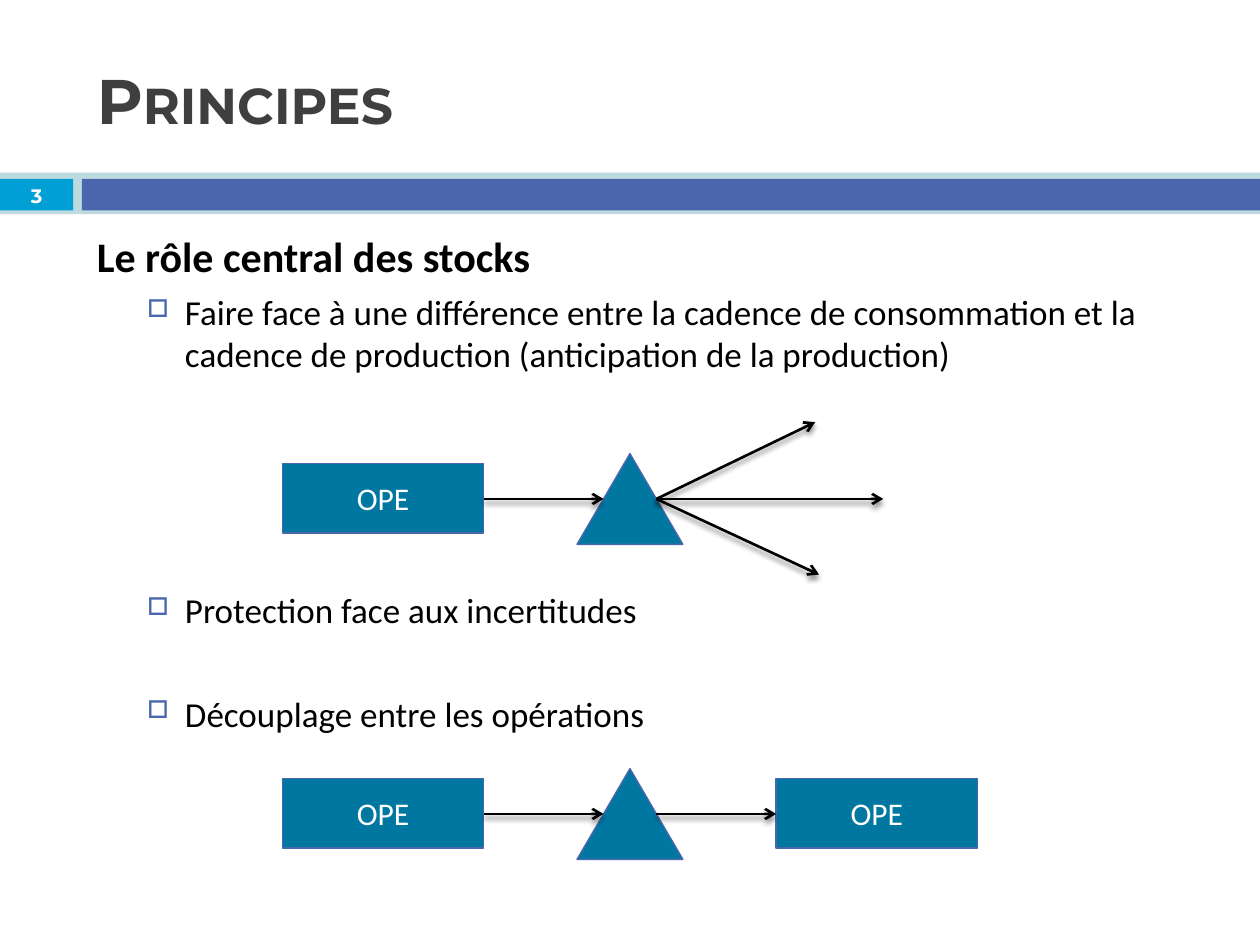
from lxml import etree
from pptx import Presentation
from pptx.dml.color import RGBColor
from pptx.enum.shapes import MSO_CONNECTOR as CONNECTOR, MSO_SHAPE as SHAPE
from pptx.enum.text import MSO_ANCHOR as ANCHOR, PP_ALIGN as ALIGN
from pptx.oxml import parse_xml
from pptx.oxml.ns import nsdecls, qn
from pptx.util import Inches, Pt

COLORS = {"band": "BDDADF", "number": "009FD6", "blue": "4A66AC", "title": "3F3F3F",
          "stock": "0077A0", "black": "000000", "white": "FFFFFF"}
SHADOW = f"""<a:effectLst {nsdecls('a')}>
  <a:outerShdw blurRad="38100" dist="30480" dir="5400000" rotWithShape="0">
    <a:srgbClr val="{COLORS['black']}"><a:alpha val="45000"/></a:srgbClr>
  </a:outerShdw>
</a:effectLst>"""

presentation = Presentation()
presentation.slide_width = Inches(10)
presentation.slide_height = Inches(7.5)
slide = presentation.slides.add_slide(presentation.slide_layouts[6])


def add_block(kind, left, top, width, height, fill, outlined=False):
    shape = slide.shapes.add_shape(
        kind, Inches(left), Inches(top), Inches(width), Inches(height))
    shape.shadow.inherit = False
    shape.fill.solid()
    shape.fill.fore_color.rgb = RGBColor.from_string(COLORS[fill])
    if outlined:
        shape.line.color.rgb = RGBColor.from_string(COLORS["blue"])
        shape.line.width = Pt(0.79)
    else:
        shape.line.fill.background()
    return shape


def add_text(paragraph, text, size, color, name="Calibri", bold=False):
    run = paragraph.add_run()
    run.text = text
    run.font.size = Pt(size)
    run.font.name = name
    run.font.bold = bold
    run.font.color.rgb = RGBColor.from_string(COLORS[color])
    return run


# Header band, slide number and title
add_block(SHAPE.RECTANGLE, 0, 1.37, 10, 0.33, "band")
add_block(SHAPE.RECTANGLE, 0, 1.42, 0.58, 0.25, "number")
add_block(SHAPE.RECTANGLE, 0.65, 1.42, 9.35, 0.25, "blue")

title = slide.shapes.add_textbox(Inches(0.67), Inches(0.25), Inches(8.92), Inches(1.08))
title.text_frame.word_wrap = True
title.text_frame.vertical_anchor = ANCHOR.MIDDLE
title_run = add_text(title.text_frame.paragraphs[0], "Principes", 36, "title",
                     "Montserrat", True)
title_run.font._element.set("cap", "small")

number = slide.shapes.add_textbox(0, Inches(1.42), Inches(0.58), Inches(0.27))
number.text_frame.word_wrap = True
number.text_frame.vertical_anchor = ANCHOR.MIDDLE
number.text_frame.paragraphs[0].alignment = ALIGN.CENTER
add_text(number.text_frame.paragraphs[0], "3", 11.1, "white", "Montserrat", True)

# Body: heading and bullets, spaced to leave room for the diagrams
body = slide.shapes.add_textbox(Inches(0.67), Inches(1.78), Inches(8.9), Inches(5.28))
body.text_frame.word_wrap = True
add_text(body.text_frame.paragraphs[0], "Le rôle central des stocks", 24, "black", bold=True)

bullets = [
    ("Faire face à une différence entre la cadence de consommation et la "
     "cadence de production (anticipation de la production)", 5.5),
    ("Protection face aux incertitudes", 122.5),
    ("Découplage entre les opérations", 35),
]
for text, space_before in bullets:
    paragraph = body.text_frame.add_paragraph()
    properties = paragraph._p.get_or_add_pPr()
    properties.set("marL", str(Inches(0.7)))
    properties.set("indent", str(Inches(-0.3)))
    bullet_color = etree.SubElement(properties, qn("a:buClr"))
    etree.SubElement(bullet_color, qn("a:srgbClr"), val=COLORS["blue"])
    etree.SubElement(properties, qn("a:buSzPct"), val="70000")
    etree.SubElement(properties, qn("a:buChar"), char="□")
    paragraph.space_before = Pt(space_before)
    add_text(paragraph, text, 20, "black")

# Diagrams: operations, stocks and flows around two horizontal axes
UPPER, LOWER = 3.96, 6.46
for left, axis in [(2.24, UPPER), (2.24, LOWER), (6.16, LOWER)]:
    operation = add_block(SHAPE.RECTANGLE, left, axis - 0.28, 1.6, 0.55, "stock", True)
    operation.text_frame.vertical_anchor = ANCHOR.MIDDLE
    operation.text_frame.paragraphs[0].alignment = ALIGN.CENTER
    add_text(operation.text_frame.paragraphs[0], "OPE", 18, "white")

for axis in (UPPER, LOWER):
    add_block(SHAPE.ISOSCELES_TRIANGLE, 4.58, axis - 0.36, 0.84, 0.72, "stock", True)

flows = [
    (3.84, UPPER, 4.79, UPPER),
    (5.21, UPPER, 7.01, UPPER),
    (5.21, UPPER, 6.47, 3.35),
    (5.21, UPPER, 6.5, 4.56),
    (3.84, LOWER, 4.79, LOWER),
    (5.21, LOWER, 6.16, LOWER),
]
for flow in flows:
    arrow = slide.shapes.add_connector(CONNECTOR.STRAIGHT, *map(Inches, flow))
    arrow.line.color.rgb = RGBColor.from_string(COLORS["black"])
    arrow.line.width = Pt(1.5)
    etree.SubElement(arrow.line._get_or_add_ln(), qn("a:tailEnd"), type="arrow")
    arrow._element.spPr.append(parse_xml(SHADOW))

presentation.save("out.pptx")
